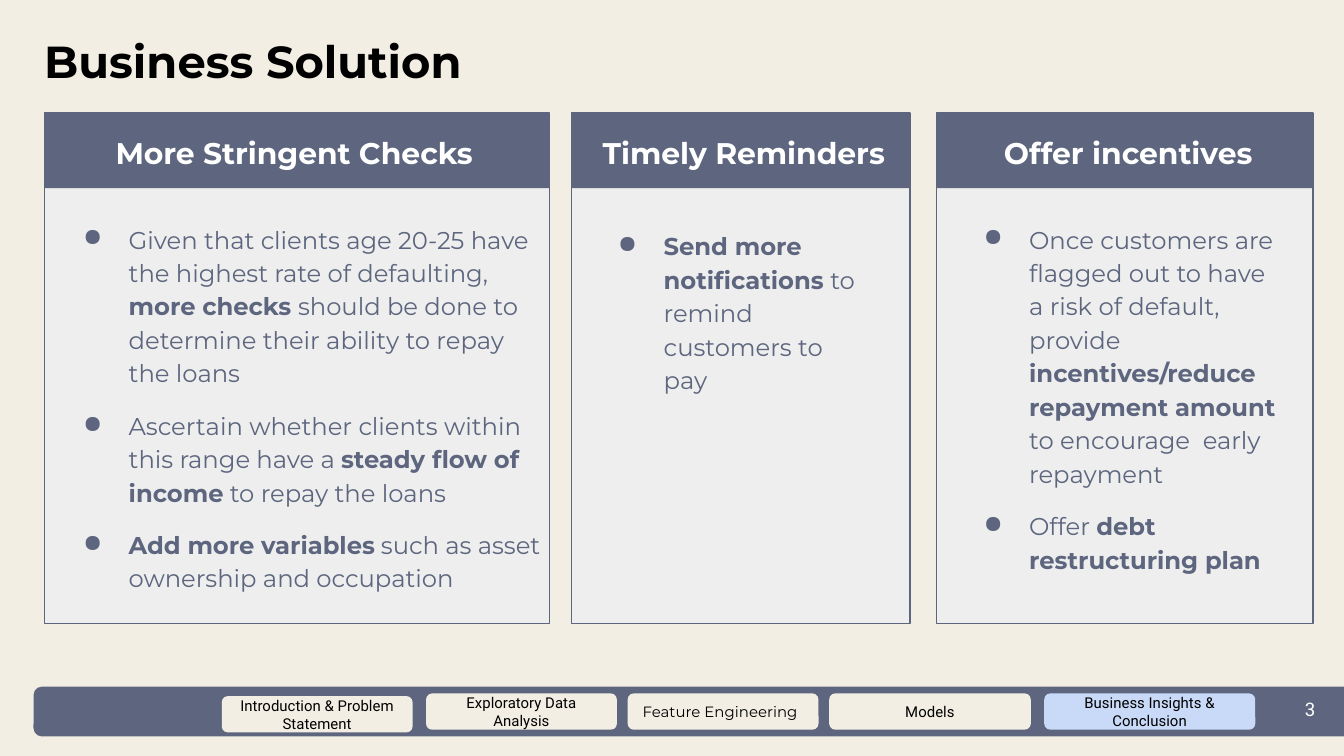
from lxml.etree import SubElement
from pptx import Presentation
from pptx.dml.color import RGBColor
from pptx.enum.shapes import MSO_SHAPE
from pptx.enum.text import MSO_ANCHOR, MSO_AUTO_SIZE, PP_ALIGN
from pptx.oxml.ns import qn
from pptx.util import Inches, Pt

SLATE = "5D667E"
CREAM = "F2EEE3"
PANEL = "EEEEEE"
ACTIVE = "C9DAF8"
WHITE = "FFFFFF"
BLACK = "000000"

CARD_TOP, CARD_HEIGHT, HEADER_HEIGHT = 0.84, 3.8, 0.56

CARDS = [
    {
        "left": 0.33, "width": 3.76,
        "title": "More Stringent Checks", "title_box": (0.56, 0.86, 3.26, 0.47),
        "body_box": (0.36, 1.54, 3.76, 2.97),
        "bullets": [
            "Given that clients age 20-25 have the highest rate of defaulting, "
            "*more checks *should be done to determine their ability to repay the loans",
            "Ascertain whether clients within this range have a "
            "*steady flow of income* to repay the loans",
            "*Add more variables* such as asset ownership and occupation",
        ],
    },
    {
        "left": 4.25, "width": 2.52,
        "title": "Timely Reminders", "title_box": (4.31, 0.86, 2.45, 0.47),
        "body_box": (4.34, 1.59, 2.24, 1.43),
        "bullets": ["*Send more notifications *to remind customers to pay"],
    },
    {
        "left": 6.97, "width": 2.8,
        "title": "Offer incentives", "title_box": (7.17, 0.86, 2.45, 0.47),
        "body_box": (7.06, 1.54, 2.56, 2.83),
        "bullets": [
            "Once customers are flagged out to have a risk of default, provide "
            "*incentives/reduce repayment amount* to encourage  early repayment",
            "Offer *debt restructuring plan*",
        ],
    },
]

TABS = [
    ("Introduction & Problem Statement", 1.65, 5.18, 1.42, CREAM, "Roboto", PP_ALIGN.CENTER),
    ("Exploratory Data Analysis", 3.17, 5.16, 1.42, CREAM, "Roboto", PP_ALIGN.CENTER),
    ("Feature Engineering", 4.67, 5.16, 1.42, CREAM, "Montserrat", PP_ALIGN.LEFT),
    ("Models", 6.17, 5.16, 1.5, CREAM, "Roboto", PP_ALIGN.CENTER),
    ("Business Insights & Conclusion", 7.77, 5.16, 1.57, ACTIVE, "Roboto", PP_ALIGN.CENTER),
]


def color(hex_string):
    return RGBColor.from_string(hex_string)


def add_box(slide, box, fill, kind=MSO_SHAPE.RECTANGLE, line=None):
    shape = slide.shapes.add_shape(kind, *map(Inches, box))
    shape.shadow.inherit = False
    shape.fill.solid()
    shape.fill.fore_color.rgb = color(fill)
    if line:
        shape.line.color.rgb = color(line)
        shape.line.width = Pt(0.75)
    else:
        shape.line.fill.background()
    return shape


def set_margins(frame):
    frame.word_wrap = True
    frame.margin_left = frame.margin_right = Inches(0.1)
    frame.margin_top = frame.margin_bottom = Inches(0.1)


def add_text_frame(slide, box):
    frame = slide.shapes.add_textbox(*map(Inches, box)).text_frame
    set_margins(frame)
    frame.auto_size = MSO_AUTO_SIZE.SHAPE_TO_FIT_TEXT
    return frame


def write(paragraph, text, size, font="Montserrat", fill=BLACK, bold=False,
          align=PP_ALIGN.LEFT, spacing=None):
    paragraph.alignment = align
    if spacing:
        paragraph.line_spacing = spacing
    for index, part in enumerate(text.split("*")):
        if part:
            run = paragraph.add_run()
            run.text = part
            run.font.size = Pt(size)
            run.font.name = font
            run.font.bold = bold or index % 2 == 1
            run.font.color.rgb = color(fill)


def add_bullet(paragraph):
    properties = paragraph._p.get_or_add_pPr()
    properties.set("marL", str(Inches(0.5)))
    properties.set("indent", str(Inches(-0.34)))
    bullet_color = SubElement(properties, qn("a:buClr"))
    SubElement(bullet_color, qn("a:srgbClr"), val=SLATE)
    SubElement(properties, qn("a:buChar"), char="●")


def add_bullet_list(slide, box, bullets):
    frame = add_text_frame(slide, box)
    for index, text in enumerate(bullets):
        paragraph = frame.add_paragraph() if index else frame.paragraphs[0]
        write(paragraph, text, 13, fill=SLATE, spacing=1.15)
        paragraph.space_before = Pt(10 if index else 0)
        paragraph.space_after = Pt(10 if index == len(bullets) - 1 else 0)
        add_bullet(paragraph)


def add_card(slide, left, width, title, title_box, body_box, bullets):
    add_box(slide, (left, CARD_TOP, width, CARD_HEIGHT), PANEL, line=SLATE)
    add_box(slide, (left, CARD_TOP, width, HEADER_HEIGHT), SLATE)
    heading = add_text_frame(slide, title_box).paragraphs[0]
    write(heading, title, 16, fill=WHITE, bold=True, align=PP_ALIGN.CENTER, spacing=1.15)
    add_bullet_list(slide, body_box, bullets)


def add_tab(slide, text, left, top, width, fill, font, align):
    tab = add_box(slide, (left, top, width, 0.27), fill, MSO_SHAPE.ROUNDED_RECTANGLE)
    frame = tab.text_frame
    set_margins(frame)
    frame.vertical_anchor = MSO_ANCHOR.MIDDLE
    write(frame.paragraphs[0], text, 8, font=font, align=align)


def add_navigation(slide):
    add_box(slide, (0.25, 5.11, 10, 0.37), SLATE, MSO_SHAPE.ROUNDED_RECTANGLE)
    for tab in TABS:
        add_tab(slide, *tab)
    number = add_text_frame(slide, (9.61, 5.11, 0.31, 0.37)).paragraphs[0]
    write(number, "3", 10, font="Roboto", fill=WHITE)


def main():
    presentation = Presentation()
    presentation.slide_width = Inches(10)
    presentation.slide_height = Inches(10 * 9 / 16)
    slide = presentation.slides.add_slide(presentation.slide_layouts[6])
    slide.background.fill.solid()
    slide.background.fill.fore_color.rgb = color(CREAM)

    title = add_text_frame(slide, (0.23, 0.15, 9.21, 0.61)).paragraphs[0]
    write(title, "Business Solution", 24, bold=True)
    for card in CARDS:
        add_card(slide, **card)
    add_navigation(slide)
    presentation.save("out.pptx")


if __name__ == "__main__":
    main()
